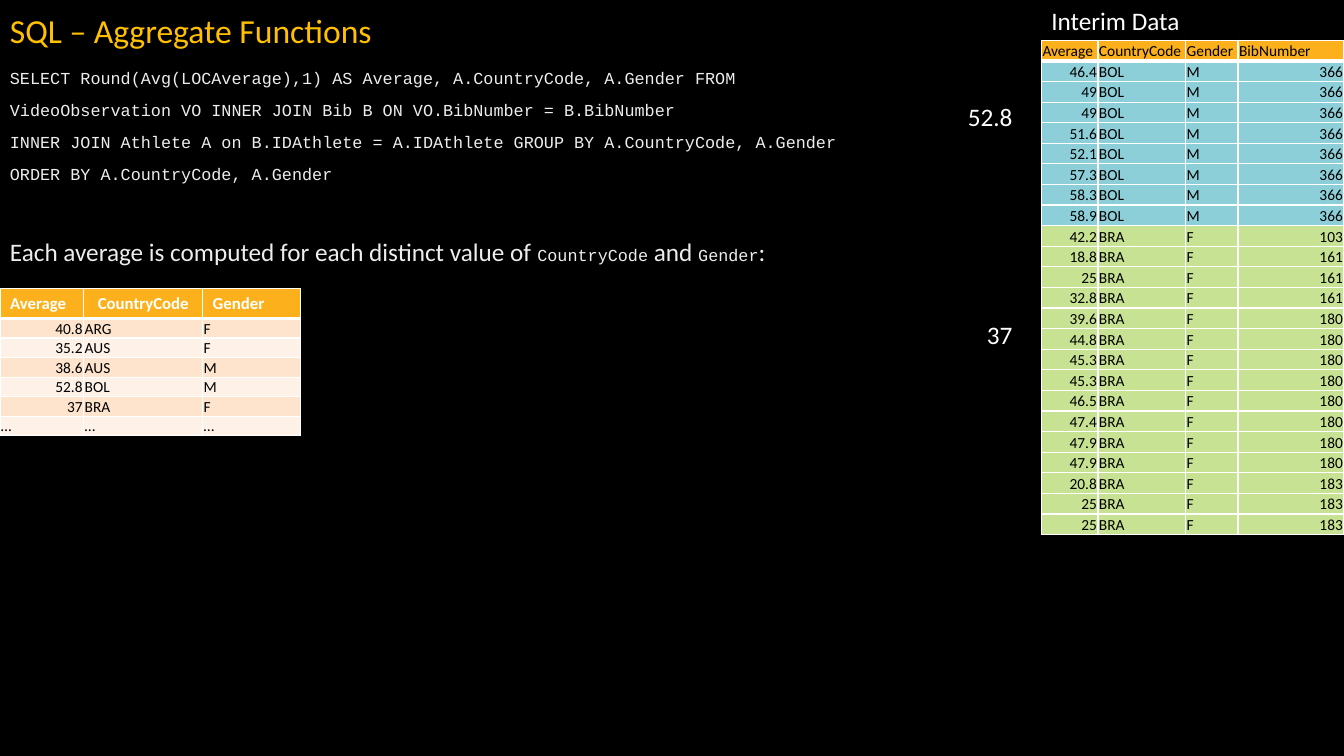
import pptx
import pptx.util
import pptx.dml.color
import pptx.enum.text
import pptx.oxml
from dataclasses import dataclass

# Content
TITLE = "SQL – Aggregate Functions"
QUERY = [
    "SELECT Round(Avg(LOCAverage),1) AS Average, A.CountryCode, A.Gender FROM",
    "VideoObservation VO INNER JOIN Bib B ON VO.BibNumber = B.BibNumber",
    "INNER JOIN Athlete A on B.IDAthlete = A.IDAthlete GROUP BY A.CountryCode, A.Gender",
    "ORDER BY A.CountryCode, A.Gender",
]
# Every second piece is code
EXPLANATION = ["Each average is computed for each distinct value of ",
               "CountryCode", " and ", "Gender", ":"]
RESULT = [
    ("Average", "CountryCode", "Gender"),
    ("40.8", "ARG", "F"),
    ("35.2", "AUS", "F"),
    ("38.6", "AUS", "M"),
    ("52.8", "BOL", "M"),
    ("37", "BRA", "F"),
    ("…", "…", "…"),
]
INTERIM_TITLE = "Interim Data"
INTERIM_HEAD = ("Average", "CountryCode", "Gender", "BibNumber")
# (country, gender, bib, averages)
INTERIM = [
    ("BOL", "M", "366", "46.4 49 49 51.6 52.1 57.3 58.3 58.9"),
    ("BRA", "F", "103", "42.2"),
    ("BRA", "F", "161", "18.8 25 32.8"),
    ("BRA", "F", "180", "39.6 44.8 45.3 45.3 46.5 47.4 47.9 47.9"),
    ("BRA", "F", "183", "20.8 25 25"),
]
GROUP_AVERAGES = [("52.8", 0.96), ("37", 3.12)]  # value, top


@dataclass(frozen=True)
class Theme:
    sans: str = "Calibri"
    mono: str = "Courier New"
    back: str = "000000"
    title: str = "FFC000"
    body: str = "EDEDED"
    white: str = "FFFFFF"
    ink: str = "000000"
    head: str = "FCB11C"
    bands: tuple = ("FEE4CD", "FEF2E8")
    bol: str = "8DCFD8"
    bra: str = "C7E292"
    title_pt: int = 24
    text_pt: int = 18
    code_pt: int = 12
    cell_pt: int = 11


T = Theme()
W, H = 13.33, 7.5
TOP_BAND = 0.64
LABEL_H = 0.4
INTERIM_COLS = [0.56, 0.87, 0.52, 1.05]
RESULT_COLS = [0.83, 1.18, 0.97]
INTERIM_X = W - sum(INTERIM_COLS)
INTERIM_ROW = 4.91 / 24
RESULT_TOP, RESULT_HEAD, RESULT_ROW = 2.86, 0.3, 0.19

Inches, Pt = pptx.util.Inches, pptx.util.Pt
ALIGN, ANCHOR = pptx.enum.text.PP_ALIGN, pptx.enum.text.MSO_ANCHOR


def rgb(value):
    return pptx.dml.color.RGBColor.from_string(value)


def style(r, size, color, font=T.sans, bold=False):
    r.font.size, r.font.name, r.font.bold = Pt(size), font, bold
    r.font.color.rgb = rgb(color)


def text_box(s, x, y, w, h):
    tf = s.shapes.add_textbox(Inches(x), Inches(y), Inches(w), Inches(h)).text_frame
    tf.word_wrap = True
    return tf


def label(s, x, y, w, h, text, size=T.text_pt, color=T.white, align=ALIGN.LEFT):
    tf = text_box(s, x, y, w, h)
    tf.text = text
    p = tf.paragraphs[0]
    p.alignment = align
    style(p.runs[0], size, color)
    return tf


def borders(cell, bottom):
    tc_pr = cell._tc.get_or_add_tcPr()
    widths = {"lnL": 1, "lnR": 1, "lnT": 1, "lnB": bottom}
    for i, (side, width) in enumerate(widths.items()):
        tc_pr.insert(i, pptx.oxml.parse_xml(
            f'<a:{side} xmlns:a="http://schemas.openxmlformats.org/drawingml/2006/main"'
            f' w="{Pt(width)}"><a:solidFill><a:srgbClr val="{T.white}"/></a:solidFill></a:{side}>'))


def is_number(text):
    return text.replace(".", "").isdigit()


def add_table(s, x, y, cols, heights, rows, fills):
    table = s.shapes.add_table(len(rows), len(cols), Inches(x), Inches(y),
                               Inches(sum(cols)), Inches(sum(heights))).table
    table.horz_banding = False
    for column, width in zip(table.columns, cols):
        column.width = Inches(width)
    for i, (row, values) in enumerate(zip(table.rows, rows)):
        row.height = Inches(heights[i])
        for cell, value in zip(row.cells, values):
            cell.text = value
            cell.fill.solid()
            cell.fill.fore_color.rgb = rgb(fills[i])
            cell.vertical_anchor = ANCHOR.BOTTOM
            cell.margin_left = cell.margin_right = cell.margin_top = Inches(0.01)
            cell.margin_bottom = 0
            p = cell.text_frame.paragraphs[0]
            p.alignment = ALIGN.RIGHT if is_number(value) else ALIGN.LEFT
            style(p.runs[0], T.cell_pt, T.ink)
            borders(cell, 3 if i == 0 else 1)
    return table


def main():
    prs = pptx.Presentation()
    prs.slide_width, prs.slide_height = Inches(W), Inches(H)
    s = prs.slides.add_slide(prs.slide_layouts[6])
    s.background.fill.solid()
    s.background.fill.fore_color.rgb = rgb(T.back)

    # Title
    tf = label(s, 0, 0, W, TOP_BAND, TITLE, T.title_pt, T.title)
    tf.vertical_anchor = ANCHOR.MIDDLE
    tf.paragraphs[0].line_spacing = 0.9

    # Query and explanation
    tf = text_box(s, 0, TOP_BAND, W * 0.64, 2.19)
    tf.text = "\n".join(QUERY)
    for p in tf.paragraphs:
        style(p.runs[0], T.code_pt, T.body, T.mono)
    p = tf.add_paragraph()
    for i, piece in enumerate(EXPLANATION):
        r = p.add_run()
        r.text = piece
        if i % 2:
            style(r, T.code_pt, T.body, T.mono)
        else:
            style(r, T.text_pt, T.body)
    for line in tf.paragraphs:
        line.line_spacing, line.space_before = 0.9, Pt(10)
    p.space_before = Pt(40)

    # Interim data
    rows, fills = [INTERIM_HEAD], [T.head]
    for country, gender, bib, averages in INTERIM:
        for average in averages.split():
            rows.append((average, country, gender, bib))
            fills.append(T.bol if country == "BOL" else T.bra)
    add_table(s, INTERIM_X, LABEL_H, INTERIM_COLS, [INTERIM_ROW] * len(rows), rows, fills)
    label(s, INTERIM_X, 0, 1.9, LABEL_H, INTERIM_TITLE)

    # Query result
    body_rows = len(RESULT) - 1
    table = add_table(s, 0, RESULT_TOP, RESULT_COLS,
                      [RESULT_HEAD] + [RESULT_ROW] * body_rows, RESULT,
                      [T.head] + [T.bands[i % 2] for i in range(body_rows)])
    for cell, indent in zip(table.rows[0].cells, (0.1, 0.14, 0.1)):
        cell.vertical_anchor = ANCHOR.TOP
        cell.margin_left, cell.margin_right = Inches(indent), Inches(0.05)
        cell.margin_top = cell.margin_bottom = Inches(0.05)
        style(cell.text_frame.paragraphs[0].runs[0], T.code_pt, T.white, bold=True)

    # Average of each interim group
    for value, top in GROUP_AVERAGES:
        label(s, 9.25, top, 0.89, LABEL_H, value, align=ALIGN.RIGHT)

    prs.save("out.pptx")


if __name__ == "__main__":
    main()
